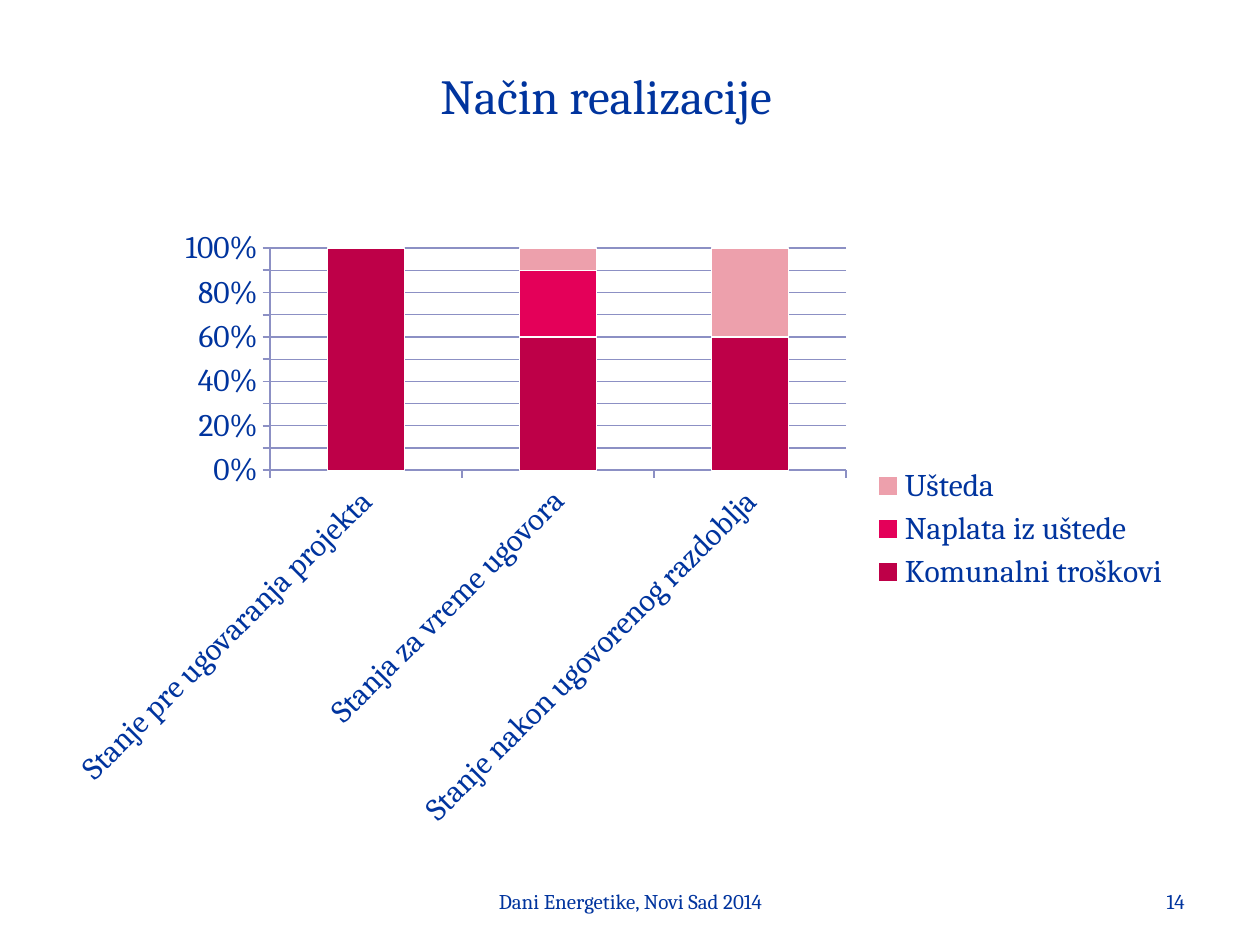
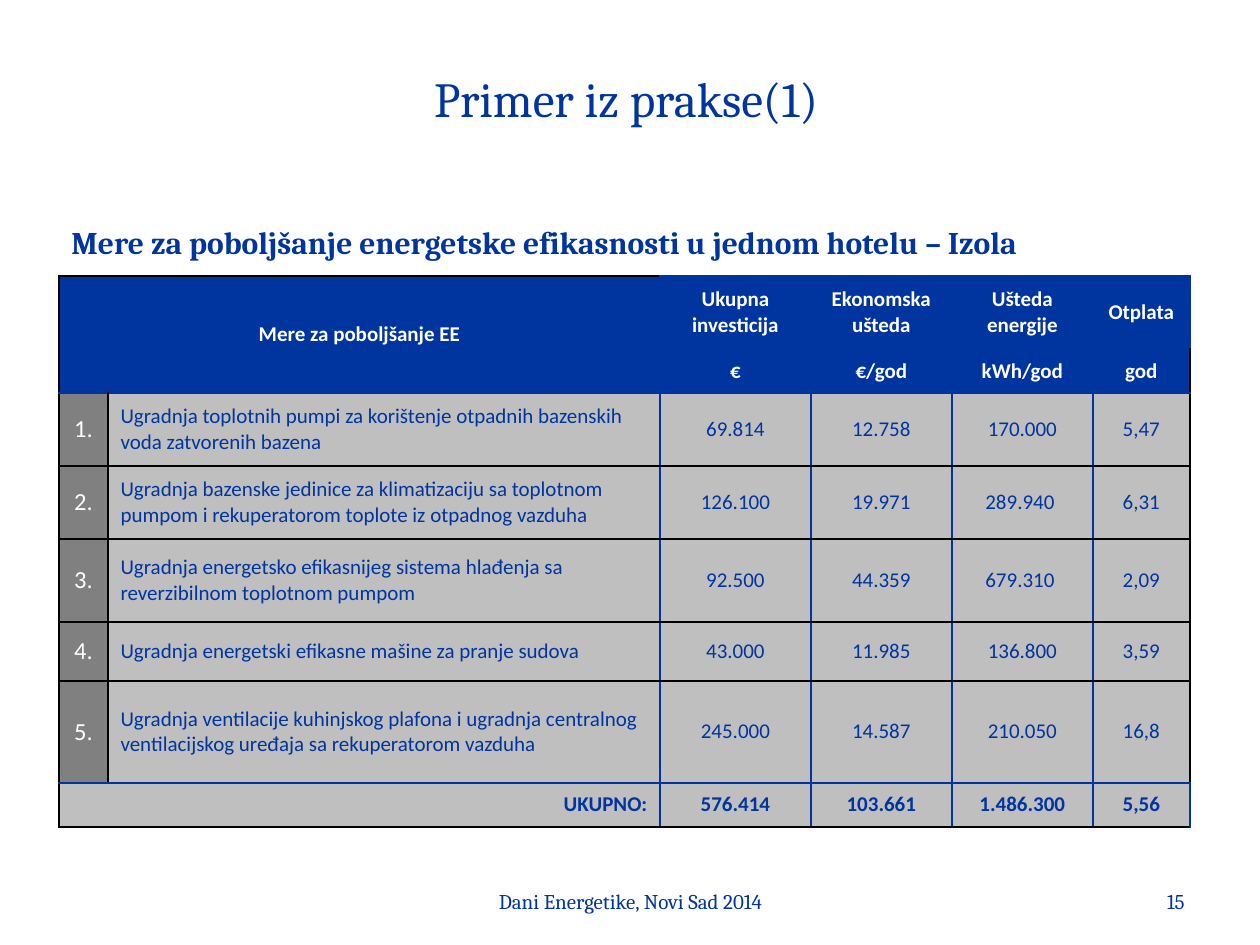
from lxml import etree
from pptx import Presentation
from pptx import util as u
from pptx.chart import data as chart_data
from pptx.dml import color
from pptx.enum import chart as charts, text
from pptx.oxml import ns, parse_xml

SCALE = 914400 / 126
COLORS = {
    "navy": "00349E", "white": "FFFFFF", "black": "000000",
    "number": "808080", "body": "BFBFBF", "axis": "8C90C4",
    "costs": "BE0048", "payment": "E40059", "savings": "EDA0AC",
}
SERIES = [
    ("Komunalni troškovi", (100, 60, 60), "costs"),
    ("Naplata iz uštede", (0, 30, 0), "payment"),
    ("Ušteda", (0, 10, 40), "savings"),
]
STAGES = ["Stanje pre ugovaranja projekta", "Stanja za vreme ugovora",
          "Stanje nakon ugovorenog razdoblja"]
COLUMNS = [49, 552, 151, 141, 141, 97]
ROWS = [73, 44, 73, 73, 83, 59, 102, 44]
MEASURES = [
    ["Mere za poboljšanje EE", "", "Ukupna investicija", "Ekonomska ušteda",
     "Ušteda energije", "Otplata"],
    ["", "", "€", "€/god", "kWh/god", "god"],
    ["1.", "Ugradnja toplotnih pumpi za korištenje otpadnih bazenskih voda "
     "zatvorenih bazena", "69.814", "12.758", "170.000", "5,47"],
    ["2.", "Ugradnja bazenske jedinice za klimatizaciju sa toplotnom pumpom i "
     "rekuperatorom toplote iz otpadnog vazduha",
     "126.100", "19.971", "289.940 ", "6,31"],
    ["3.", "Ugradnja energetsko efikasnijeg sistema hlađenja sa reverzibilnom "
     "toplotnom pumpom", "92.500", "44.359", "679.310 ", "2,09"],
    ["4.", "Ugradnja energetski efikasne mašine za pranje sudova",
     "43.000", "11.985", "136.800", "3,59"],
    ["5.", "Ugradnja ventilacije kuhinjskog plafona i ugradnja centralnog "
     "ventilacijskog uređaja sa rekuperatorom vazduha",
     "245.000", "14.587", "210.050", "16,8"],
    ["UKUPNO:", "", "576.414", "103.661", "1.486.300", "5,56"],
]
TOTAL = len(MEASURES) - 1
LAST = len(COLUMNS) - 1


def px(length):
    return u.Emu(round(length * SCALE))


def rgb(name):
    return color.RGBColor.from_string(COLORS[name])


def write(frame, words, size=12, tint="navy", font="Cambria", bold=False,
          align="CENTER"):
    para = frame.paragraphs[0]
    para.alignment = text.PP_ALIGN[align]
    span = para.add_run()
    span.text = words
    span.font.size = u.Pt(size)
    span.font.name = font
    span.font.bold = bold
    span.font.color.rgb = rgb(tint)


def place(shape, left, top, width, height):
    shape.left, shape.top = px(left), px(top)
    shape.width, shape.height = px(width), px(height)


def add_text(page, area, words, anchor="MIDDLE", **fmt):
    box = page.shapes.add_textbox(*map(px, area))
    box.text_frame.word_wrap = True
    box.text_frame.vertical_anchor = text.MSO_ANCHOR[anchor]
    write(box.text_frame, words, **fmt)


def add_page(deck, title, area, number, anchor):
    page = deck.slides.add_slide(deck.slide_layouts[5])
    heading = page.shapes.title
    place(heading, *area)
    heading.text_frame.auto_size = text.MSO_AUTO_SIZE.NONE
    heading.text_frame.vertical_anchor = text.MSO_ANCHOR[anchor]
    write(heading.text_frame, title, size=28)
    add_text(page, (431, 876, 399, 50), "Dani Energetike, Novi Sad 2014")
    add_text(page, (903, 876, 294, 50), str(number), align="RIGHT")
    return page


def set_plot_area(chart, **fractions):
    area = chart._chartSpace.chart.plotArea
    for layout in area.findall(ns.qn("c:layout")):
        area.remove(layout)
    layout = etree.Element(ns.qn("c:layout"))
    manual = etree.SubElement(layout, ns.qn("c:manualLayout"))
    values = {"layoutTarget": "inner", "xMode": "edge", "yMode": "edge",
              **fractions}
    for tag, value in values.items():
        etree.SubElement(manual, ns.qn(f"c:{tag}")).set("val", str(value))
    area.insert(0, layout)


def style_axis(axis):
    axis.major_tick_mark = charts.XL_TICK_MARK.OUTSIDE
    axis.minor_tick_mark = charts.XL_TICK_MARK.NONE
    axis.format.line.color.rgb = rgb("axis")
    axis.format.line.width = u.Pt(1)


def add_cost_chart(page, area):
    data = chart_data.CategoryChartData()
    data.categories = STAGES
    for name, values, tint in SERIES:
        data.add_series(name, values)
    chart = page.shapes.add_chart(
        charts.XL_CHART_TYPE.COLUMN_STACKED_100, *map(px, area), data).chart
    chart.has_title = False
    chart.font.name = "Cambria"
    chart.font.size = u.Pt(18)
    chart.font.color.rgb = rgb("navy")
    chart.has_legend = True
    chart.legend.position = charts.XL_LEGEND_POSITION.RIGHT
    chart.legend.include_in_layout = False
    plot = chart.plots[0]
    plot.gap_width, plot.overlap = 150, 100
    plot.vary_by_categories = False
    for series, (name, values, tint) in zip(plot.series, SERIES):
        series.format.fill.solid()
        series.format.fill.fore_color.rgb = rgb(tint)
        series.format.line.color.rgb = rgb("white")
        series.format.line.width = u.Pt(0.75)
    style_axis(chart.category_axis)
    style_axis(chart.value_axis)
    labels = chart.category_axis._element.get_or_add_txPr()
    labels.bodyPr.set("rot", "-2700000")
    share = chart.value_axis
    share.minimum_scale, share.maximum_scale, share.major_unit = 0, 1, 0.1
    share.tick_labels.number_format = "0%"
    share.tick_labels.number_format_is_linked = False
    share.has_major_gridlines = True
    share.major_gridlines.format.line.color.rgb = rgb("axis")
    set_plot_area(chart, x=0.195, y=0.05, w=0.508, h=0.356)


def set_borders(cell, **sides):
    properties = cell._tc.get_or_add_tcPr()
    for side, tint in sides.items():
        properties.append(parse_xml(
            f'<a:ln{side} {ns.nsdecls("a")} w="12700"><a:solidFill>'
            f'<a:srgbClr val="{COLORS[tint]}"/></a:solidFill></a:ln{side}>'))


def border_tints(row, column):
    measure = 2 <= row < TOTAL
    black = {
        "L": column == 0 or (column == 1 and measure),
        "R": (column == 0 and measure) or (column == LAST and 0 < row < TOTAL),
        "T": 2 < row < TOTAL or (row == 0 and column < 2),
        "B": 2 <= row < TOTAL - 1 or row == TOTAL,
    }
    return {side: "black" if dark else "navy" for side, dark in black.items()}


def cell_style(row, column):
    if row < 2:
        return "navy", {"tint": "white", "bold": True}
    if row == TOTAL:
        return "body", {"bold": True, "align": "CENTER" if column else "RIGHT"}
    if column == 0:
        return "number", {"tint": "white", "size": 14}
    return "body", {"align": "LEFT" if column == 1 else "CENTER"}


def add_measures_table(page, left, top):
    table = page.shapes.add_table(
        len(ROWS), len(COLUMNS), px(left), px(top),
        px(sum(COLUMNS)), px(sum(ROWS))).table
    table.first_row = table.horz_banding = False
    for column, width in zip(table.columns, COLUMNS):
        column.width = px(width)
    for row, height in zip(table.rows, ROWS):
        row.height = px(height)
    table.cell(0, 0).merge(table.cell(1, 1))
    table.cell(TOTAL, 0).merge(table.cell(TOTAL, 1))
    for row, entries in enumerate(MEASURES):
        for column, words in enumerate(entries):
            cell = table.cell(row, column)
            fill, fmt = cell_style(row, column)
            set_borders(cell, **border_tints(row, column))
            cell.fill.solid()
            cell.fill.fore_color.rgb = rgb(fill)
            cell.vertical_anchor = text.MSO_ANCHOR.MIDDLE
            if words:
                write(cell.text_frame, words, font="Calibri", **fmt)


def main():
    deck = Presentation()
    deck.slide_width, deck.slide_height = px(1260), px(945)

    page = add_page(deck, "Način realizacije", (286, 59, 640, 72), 14, "TOP")
    add_cost_chart(page, (49, 217, 1134, 624))

    page = add_page(deck, "Primer iz prakse(1)", (59, 20, 1134, 156), 15,
                    "MIDDLE")
    add_text(page, (59, 217, 1142, 127),
             "Mere za poboljšanje energetske efikasnosti u jednom hotelu – Izola",
             anchor="TOP", size=18, bold=True, align="LEFT")
    add_measures_table(page, 59, 276)

    deck.save("out.pptx")


if __name__ == "__main__":
    main()
